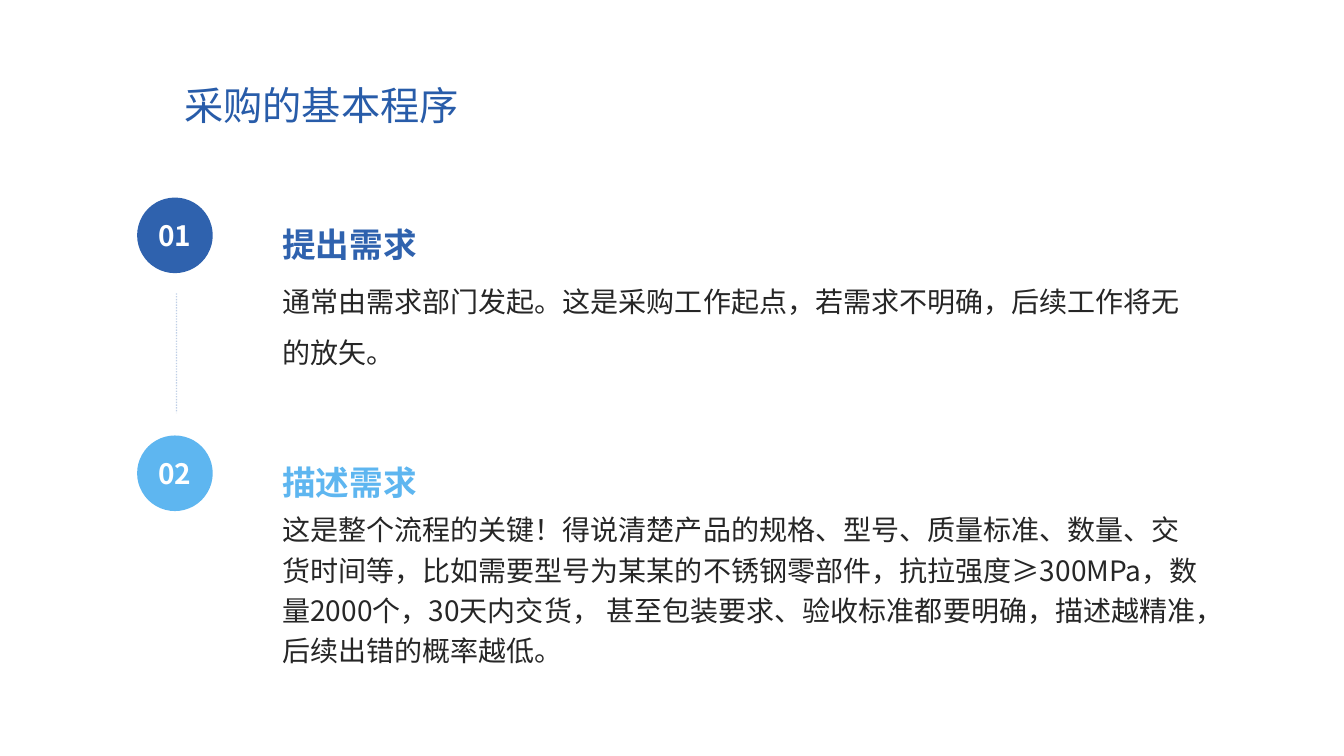
"""Build the slide on the basic steps of purchasing."""
from dataclasses import dataclass

from lxml.etree import SubElement
from pptx import Presentation
from pptx.dml.color import RGBColor
from pptx.enum.dml import MSO_LINE
from pptx.enum.shapes import MSO_CONNECTOR, MSO_SHAPE
from pptx.enum.text import MSO_ANCHOR, MSO_AUTO_SIZE, PP_ALIGN
from pptx.oxml.ns import qn
from pptx.slide import Slide
from pptx.text.text import TextFrame
from pptx.util import Inches, Pt

TITLE_BLUE = RGBColor(0x28, 0x5C, 0xA9)
DEEP_BLUE = RGBColor(0x2F, 0x62, 0xAE)
SKY_BLUE = RGBColor(0x5E, 0xB6, 0xF0)
INK = RGBColor(0x26, 0x26, 0x26)
WHITE = RGBColor(0xFF, 0xFF, 0xFF)
TITLE_FONT = "Noto Sans CJK SC"
TEXT_FONT = "Noto Sans CJK JP"

FIRST_TOP = 1.96
STEP_PITCH = 2.36
BADGE_LEFT = 1.36
BADGE_SIZE = 0.75
TEXT_LEFT = 2.8
TEXT_WIDTH = 9.17


@dataclass(frozen=True)
class Step:
    heading: str
    detail: str
    color: RGBColor
    line_spacing: float


STEPS = [
    Step(
        "提出需求",
        "通常由需求部门发起。这是采购工作起点，若需求不明确，后续工作将无的放矢。",
        DEEP_BLUE,
        1.5,
    ),
    Step(
        "描述需求",
        "这是整个流程的关键！得说清楚产品的规格、型号、质量标准、数量、交货时间等，"
        "比如需要型号为某某的不锈钢零部件，抗拉强度≥300MPa，数量2000个，30天内交货， "
        "甚至包装要求、验收标准都要明确，描述越精准，后续出错的概率越低。",
        SKY_BLUE,
        1.2,
    ),
]


def write(frame: TextFrame, text: str, size: int, color: RGBColor, bold: bool = False,
          align: PP_ALIGN = PP_ALIGN.LEFT, line_spacing: float = 1.0,
          font_name: str = TEXT_FONT) -> None:
    paragraph = frame.paragraphs[0]
    paragraph.alignment = align
    paragraph.line_spacing = line_spacing
    run = paragraph.add_run()
    run.text = text
    run.font.size = Pt(size)
    run.font.bold = bold
    run.font.color.rgb = color
    run.font.name = font_name
    SubElement(run.font._element, qn("a:ea"), typeface=font_name)


def clear_margins(frame: TextFrame) -> None:
    frame.margin_left = frame.margin_top = frame.margin_right = frame.margin_bottom = 0


def add_title(slide: Slide, text: str) -> None:
    title = slide.shapes.title
    title.left, title.top = Inches(1.73), Inches(0.72)
    title.width, title.height = Inches(3.6), Inches(0.64)
    title.text_frame.auto_size = MSO_AUTO_SIZE.NONE
    title.text_frame.vertical_anchor = MSO_ANCHOR.MIDDLE
    write(title.text_frame, text, 28, TITLE_BLUE, font_name=TITLE_FONT)


def add_badge(slide: Slide, number: int, top: float, color: RGBColor) -> None:
    badge = slide.shapes.add_shape(
        MSO_SHAPE.OVAL, Inches(BADGE_LEFT), Inches(top), Inches(BADGE_SIZE), Inches(BADGE_SIZE))
    badge.shadow.inherit = False
    badge.fill.solid()
    badge.fill.fore_color.rgb = color
    badge.line.fill.background()
    frame = badge.text_frame
    clear_margins(frame)
    frame.word_wrap = False
    frame.vertical_anchor = MSO_ANCHOR.MIDDLE
    write(frame, f"{number:02d}", 20, WHITE, bold=True, align=PP_ALIGN.CENTER)


def add_text_area(slide: Slide, top: float, height: float, anchor: MSO_ANCHOR) -> TextFrame:
    area = slide.shapes.add_textbox(
        Inches(TEXT_LEFT), Inches(top), Inches(TEXT_WIDTH), Inches(height))
    frame = area.text_frame
    clear_margins(frame)
    frame.word_wrap = True
    frame.vertical_anchor = anchor
    return frame


def add_step(slide: Slide, number: int, step: Step) -> None:
    top = FIRST_TOP + (number - 1) * STEP_PITCH
    add_badge(slide, number, top, step.color)
    heading = add_text_area(slide, top, 0.66, MSO_ANCHOR.BOTTOM)
    write(heading, step.heading, 24, step.color, bold=True)
    detail = add_text_area(slide, top + 0.7, 1.25, MSO_ANCHOR.TOP)
    write(detail, step.detail, 20, INK, line_spacing=step.line_spacing)


def add_dotted_link(slide: Slide) -> None:
    center = Inches(1.75)
    link = slide.shapes.add_connector(
        MSO_CONNECTOR.STRAIGHT, center, Inches(2.91), center, Inches(4.1))
    link.line.color.rgb = DEEP_BLUE
    link.line.width = Pt(1)
    link.line.dash_style = MSO_LINE.ROUND_DOT
    properties = link._element.spPr
    SubElement(properties.find(".//" + qn("a:srgbClr")), qn("a:alpha"), val="30000")
    SubElement(properties, qn("a:effectLst"))


def main() -> None:
    presentation = Presentation()
    presentation.slide_width = Inches(13.33)
    presentation.slide_height = Inches(7.5)
    slide = presentation.slides.add_slide(presentation.slide_layouts[5])
    add_title(slide, "采购的基本程序")
    add_dotted_link(slide)
    for number, step in enumerate(STEPS, start=1):
        add_step(slide, number, step)
    presentation.save("out.pptx")


if __name__ == "__main__":
    main()
